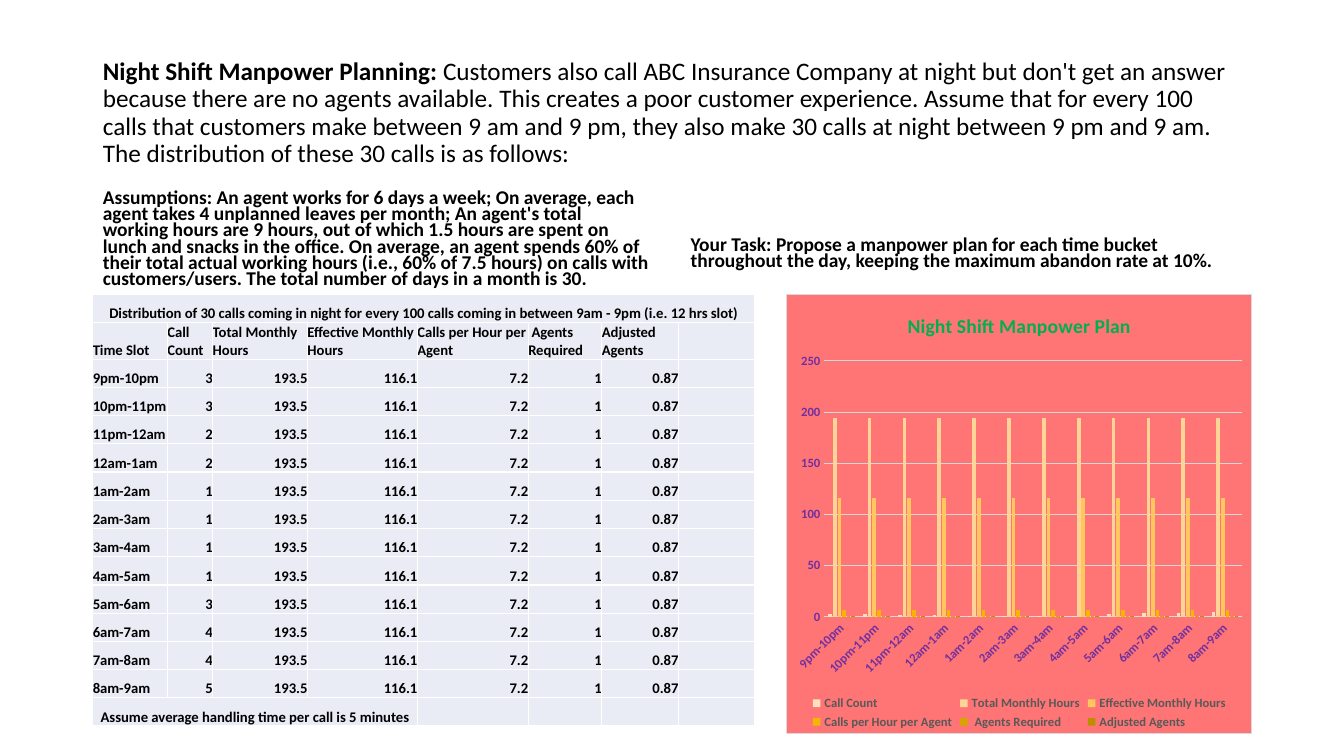
from lxml.etree import fromstring
from pptx import Presentation
from pptx.chart.data import CategoryChartData
from pptx.dml.color import RGBColor
from pptx.enum.chart import XL_CHART_TYPE as CT, XL_LEGEND_POSITION as LP, XL_TICK_MARK as TM
from pptx.enum.text import MSO_ANCHOR as VA, MSO_AUTO_SIZE as AS, PP_ALIGN as AL
from pptx.oxml.ns import nsdecls, qn
from pptx.util import Inches, Pt

BLACK = RGBColor(0x00, 0x00, 0x00)
CELL = RGBColor(0xE9, 0xEB, 0xF5)
GRID = RGBColor(0xD9, 0xD9, 0xD9)
CORAL = RGBColor(0xFF, 0x74, 0x74)
GREEN = RGBColor(0x00, 0xB0, 0x50)
PURPLE = RGBColor(0x70, 0x30, 0xA0)
GREY = RGBColor(0x59, 0x59, 0x59)
SERIES = [RGBColor(0xFF, 0xE2, 0xBD), RGBColor(0xFF, 0xD5, 0x97), RGBColor(0xFF, 0xC7, 0x5E),
          RGBColor(0xF4, 0xB7, 0x00), RGBColor(0xDA, 0xA4, 0x00), RGBColor(0xBD, 0x8E, 0x00)]

TITLE = ["Night Shift Manpower Planning:",
         " Customers also call ABC Insurance Company at night but don't get an answer because "
         "there are no agents available. This creates a poor customer experience. Assume that for "
         "every 100 calls that customers make between 9 am and 9 pm, they also make 30 calls at "
         "night between 9 pm and 9 am. The distribution of these 30 calls is as follows:"]
ASSUMPTIONS = ("Assumptions: An agent works for 6 days a week; On average, each agent takes 4 "
               "unplanned leaves per month; An agent's total working hours are 9 hours, out of "
               "which 1.5 hours are spent on lunch and snacks in the office. On average, an agent "
               "spends 60% of their total actual working hours (i.e., 60% of 7.5 hours) on calls "
               "with customers/users. The total number of days in a month is 30.")
TASK = ("Your Task: Propose a manpower plan for each time bucket throughout the day, keeping the "
        "maximum abandon rate at 10%.")
CAPTION = ("Distribution of 30 calls coming in night for every 100 calls coming in between "
           "9am - 9pm (i.e. 12 hrs slot)")
FOOTNOTE = "Assume average handling time per call is 5 minutes"
HEADERS = ["Time Slot", "Call Count", "Total Monthly Hours", "Effective Monthly Hours",
           "Calls per Hour per Agent", " Agents Required", "Adjusted Agents"]
HOURS = ["9pm", "10pm", "11pm", "12am", "1am", "2am", "3am", "4am", "5am", "6am", "7am", "8am", "9am"]
SLOTS = [f"{start}-{end}" for start, end in zip(HOURS, HOURS[1:])]
CALLS = [3, 3, 2, 2, 1, 1, 1, 1, 3, 4, 4, 5]
PER_SLOT = [193.5, 116.1, 7.2, 1, 0.87]
ROWS = [[slot, calls, *PER_SLOT] for slot, calls in zip(SLOTS, CALLS)]
COL_WIDTHS = [0.74, 0.45, 0.94, 1.09, 1.1, 0.73, 0.76, 0.76]
ROW_HEIGHT = 0.28


class SlideBuilder:
    font = "Calibri"

    def __init__(self, slide):
        self.slide = slide

    def style(self, font, size, color=BLACK, bold=True):
        font.name = self.font
        font.size = Pt(size)
        font.bold = bold
        font.color.rgb = color

    def placeholder(self, idx, box, runs, size, spacing, anchor, before=0):
        sp = self.slide.placeholders[idx]
        sp.left, sp.top, sp.width, sp.height = map(Inches, box)
        tf = sp.text_frame
        tf.auto_size = AS.NONE
        tf.word_wrap = True
        tf.vertical_anchor = anchor
        p = tf.paragraphs[0]
        p.alignment = AL.LEFT
        p.line_spacing = spacing
        p.space_before = Pt(before)
        for i, text in enumerate(runs):
            r = p.add_run()
            r.text = text
            self.style(r.font, size, bold=i == 0)

    def drop_empty_placeholders(self):
        for sp in list(self.slide.placeholders):
            if not sp.text_frame.text:
                sp.element.getparent().remove(sp.element)

    def cell(self, cell, text, align):
        cell.fill.solid()
        cell.fill.fore_color.rgb = CELL
        cell.vertical_anchor = VA.BOTTOM
        cell.margin_left = cell.margin_right = cell.margin_bottom = 0
        cell.margin_top = Inches(0.01)
        p = cell.text_frame.paragraphs[0]
        p.text = str(text)
        p.alignment = align
        for r in p.runs:
            self.style(r.font, 10.5)
        if not p.runs:
            p._p.get_or_add_endParaRPr().set("sz", "1050")

    def table(self, left, top):
        rows = [[CAPTION], HEADERS, *ROWS, [FOOTNOTE]]
        n_cols = len(COL_WIDTHS)
        table = self.slide.shapes.add_table(
            len(rows), n_cols, Inches(left), Inches(top),
            Inches(sum(COL_WIDTHS)), Inches(ROW_HEIGHT * len(rows))).table
        table.first_row = table.horz_banding = False
        for column, width in zip(table.columns, COL_WIDTHS):
            column.width = Inches(width)
        for r, values in enumerate(rows):
            for c in range(n_cols):
                value = values[c] if c < len(values) else ""
                align = AL.CENTER if len(values) == 1 else AL.LEFT if isinstance(value, str) else AL.RIGHT
                self.cell(table.cell(r, c), value, align)
        table.cell(0, 0).merge(table.cell(0, n_cols - 1))
        last = len(rows) - 1
        table.cell(last, 0).merge(table.cell(last, 3))

    def axis(self, axis):
        axis.major_tick_mark = axis.minor_tick_mark = TM.NONE
        self.style(axis.tick_labels.font, 9, PURPLE)

    def chart(self, box):
        data = CategoryChartData()
        data.categories = SLOTS
        for name, values in zip(HEADERS[1:], list(zip(*ROWS))[1:]):
            data.add_series(name, [round(value) for value in values])
        chart = self.slide.shapes.add_chart(CT.COLUMN_CLUSTERED, *map(Inches, box), data).chart
        self.style(chart.font, 10, bold=False)
        chart.has_title = True
        tf = chart.chart_title.text_frame
        tf.text = "Night Shift Manpower Plan"
        self.style(tf.paragraphs[0].runs[0].font, 14, GREEN)
        chart.has_legend = True
        chart.legend.position = LP.BOTTOM
        chart.legend.include_in_layout = False
        self.style(chart.legend.font, 9, GREY)

        plot = chart.plots[0]
        plot.gap_width, plot.overlap = 219, -27
        plot.vary_by_categories = False
        for series, color in zip(plot.series, SERIES):
            series.format.fill.solid()
            series.format.fill.fore_color.rgb = color

        slots, values = chart.category_axis, chart.value_axis
        self.axis(slots)
        self.axis(values)
        slots._element.find(qn("c:txPr")).find(qn("a:bodyPr")).set("rot", "-2700000")
        values.format.line.fill.background()
        values.has_major_gridlines = True
        for line in (slots.format.line, values.major_gridlines.format.line):
            line.color.rgb = GRID
            line.width = Pt(0.75)

        chart._chartSpace.find(qn("c:chart")).addnext(fromstring(
            f'<c:spPr {nsdecls("c", "a")}><a:solidFill><a:srgbClr val="{CORAL}"/></a:solidFill>'
            f'<a:ln w="{Pt(0.75)}"><a:solidFill><a:srgbClr val="{GRID}"/></a:solidFill></a:ln></c:spPr>'))


def main():
    prs = Presentation()
    prs.slide_width, prs.slide_height = Inches(13.33), Inches(7.5)
    s = SlideBuilder(prs.slides.add_slide(prs.slide_layouts.get_by_name("Comparison")))
    s.placeholder(0, (0.92, 0.4, 11.5, 1.45), TITLE, 18, 0.9, VA.MIDDLE)
    s.placeholder(1, (0.92, 1.62, 5.64, 1.3), [ASSUMPTIONS], 13.9, 0.7, VA.BOTTOM, 10)
    s.placeholder(3, (6.75, 1.98, 5.67, 0.76), [TASK], 13.9, 0.7, VA.BOTTOM, 10)
    s.drop_empty_placeholders()
    s.table(0.92, 2.92)
    s.chart((7.8, 2.92, 4.62, 4.36))
    prs.save("out.pptx")


if __name__ == "__main__":
    main()
